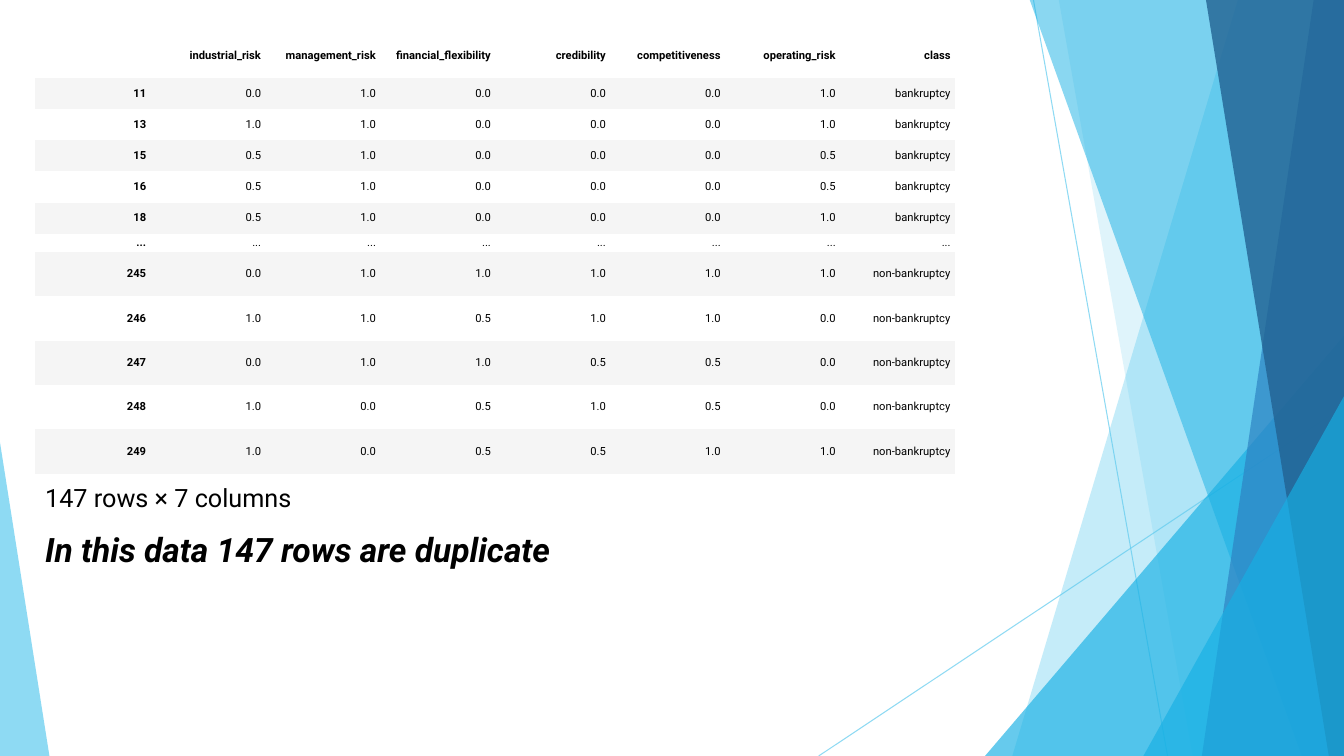
from lxml import etree
from pptx import Presentation
from pptx.dml.color import RGBColor
from pptx.enum.shapes import MSO_CONNECTOR, MSO_SHAPE
from pptx.enum.text import MSO_ANCHOR, PP_ALIGN
from pptx.oxml.ns import qn
from pptx.util import Inches, Pt

STRAIGHT = MSO_CONNECTOR.STRAIGHT
TRIANGLE = MSO_SHAPE.ISOSCELES_TRIANGLE
MIDDLE = MSO_ANCHOR.MIDDLE
RIGHT = PP_ALIGN.RIGHT
LEFT = PP_ALIGN.LEFT

FONT = "Roboto"
SKY = "5FCBEF"
CYAN = "17B0E4"
BLUE = "2E83C3"
NAVY = "226292"
NO_GRID_STYLE = "{2D5ABB26-0587-4C30-8999-92F81FD0307C}"

SLIDE_WIDTH, SLIDE_HEIGHT = 13.33, 7.5
BAND_TOP = -0.01
COLUMN_WIDTH = 1.14
ROW_HEIGHTS = [0.44] + [0.31] * 5 + [0.18] + [0.44] * 5

HEADERS = ["", "industrial_risk", "management_risk", "financial_flexibility",
           "credibility", "competitiveness", "operating_risk", "class"]
BANKRUPT = [
    ("11", "0.0", "1.0", "0.0", "0.0", "0.0", "1.0"),
    ("13", "1.0", "1.0", "0.0", "0.0", "0.0", "1.0"),
    ("15", "0.5", "1.0", "0.0", "0.0", "0.0", "0.5"),
    ("16", "0.5", "1.0", "0.0", "0.0", "0.0", "0.5"),
    ("18", "0.5", "1.0", "0.0", "0.0", "0.0", "1.0"),
]
SOLVENT = [
    ("245", "0.0", "1.0", "1.0", "1.0", "1.0", "1.0"),
    ("246", "1.0", "1.0", "0.5", "1.0", "1.0", "0.0"),
    ("247", "0.0", "1.0", "1.0", "0.5", "0.5", "0.0"),
    ("248", "1.0", "0.0", "0.5", "1.0", "0.5", "0.0"),
    ("249", "1.0", "0.0", "0.5", "0.5", "1.0", "1.0"),
]
ROWS = [
    HEADERS,
    *[(*row, "bankruptcy") for row in BANKRUPT],
    ["..."] * len(HEADERS),
    *[(*row, "non-bankruptcy") for row in SOLVENT],
]


def set_color(color_format, hex_color, opacity=100):
    color_format.rgb = RGBColor.from_string(hex_color)
    if opacity < 100:
        for color in color_format._xFill.iter(qn("a:srgbClr")):
            etree.SubElement(color, qn("a:alpha"), val=str(opacity * 1000))


def set_fill(fill, hex_color, opacity=100):
    fill.solid()
    set_color(fill.fore_color, hex_color, opacity)


def style_band(shape, hex_color, opacity):
    shape.shadow.inherit = False
    set_fill(shape.fill, hex_color, opacity)
    shape.line.fill.background()


def add_line(slide, start, end):
    line = slide.shapes.add_connector(
        STRAIGHT, *[Inches(value) for value in (*start, *end)])
    line.line.width = Pt(0.75)
    set_fill(line.line.fill, SKY, 70)
    properties = line.element.find(qn("p:spPr"))
    etree.SubElement(properties, qn("a:effectLst"))


def add_band(slide, top_x, bottom_x, hex_color, opacity):
    points = [(top_x, BAND_TOP), (SLIDE_WIDTH, BAND_TOP),
              (SLIDE_WIDTH, SLIDE_HEIGHT), (bottom_x, SLIDE_HEIGHT)]
    corners = [(Inches(x), Inches(y)) for x, y in points]
    builder = slide.shapes.build_freeform(*corners[0])
    builder.add_line_segments(corners[1:], close=True)
    style_band(builder.convert_to_shape(), hex_color, opacity)


def add_triangle(slide, left, top, width, apex, hex_color, opacity):
    shape = slide.shapes.add_shape(
        TRIANGLE, Inches(left), Inches(top),
        Inches(width), Inches(SLIDE_HEIGHT - top))
    shape.adjustments[0] = apex
    style_band(shape, hex_color, opacity)


def style_paragraph(paragraph, size, bold=False, italic=False, align=LEFT):
    paragraph.alignment = align
    font = paragraph.font
    font.name, font.size = FONT, Pt(size)
    font.bold, font.italic = bold, italic
    set_fill(font.fill, "000000")


def add_text(slide, text, top, height, size, emphasis=False):
    box = slide.shapes.add_textbox(
        Inches(0.35), Inches(top), Inches(6.67), Inches(height))
    frame = box.text_frame
    frame.word_wrap = True
    frame.text = text
    style_paragraph(frame.paragraphs[0], size, emphasis, emphasis)


def fill_cell(cell, text, bold, hex_color):
    cell.text = text
    cell.vertical_anchor = MIDDLE
    cell.margin_left = cell.margin_right = Inches(0.04)
    cell.margin_top = cell.margin_bottom = Inches(0.02)
    set_fill(cell.fill, hex_color)
    style_paragraph(cell.text_frame.paragraphs[0], 8, bold, align=RIGHT)


def add_data_table(slide):
    graphic_frame = slide.shapes.add_table(
        len(ROWS), len(HEADERS), Inches(0.35), Inches(0.33),
        Inches(COLUMN_WIDTH * len(HEADERS)), Inches(sum(ROW_HEIGHTS)))
    for style in graphic_frame.element.iter(qn("a:tableStyleId")):
        style.text = NO_GRID_STYLE
    table = graphic_frame.table
    table.horz_banding = False
    for column in table.columns:
        column.width = Inches(COLUMN_WIDTH)
    for row_index, values in enumerate(ROWS):
        table.rows[row_index].height = Inches(ROW_HEIGHTS[row_index])
        stripe = "F5F5F5" if row_index % 2 else "FFFFFF"
        for column_index, text in enumerate(values):
            bold = row_index == 0 or column_index == 0
            fill_cell(table.cell(row_index, column_index), text, bold, stripe)


def add_decoration(slide):
    add_line(slide, (10.25, 0), (11.58, SLIDE_HEIGHT))
    add_line(slide, (SLIDE_WIDTH, 4.03), (8.12, SLIDE_HEIGHT))
    add_band(slide, 12.28, 10.04, SKY, 36)
    add_band(slide, 10.5, 11.83, SKY, 20)
    add_triangle(slide, 9.77, 3.33, 3.56, 1, CYAN, 66)
    add_band(slide, 10.21, 12.91, CYAN, 50)
    add_band(slide, 13.03, 11.92, BLUE, 70)
    add_band(slide, 11.96, 13.18, NAVY, 80)
    add_triangle(slide, 11.34, 3.93, 1.99, 1, CYAN, 66)
    add_triangle(slide, 0, 4.39, 0.49, 0, SKY, 70)


def main():
    presentation = Presentation()
    presentation.slide_width = Inches(SLIDE_WIDTH)
    presentation.slide_height = Inches(SLIDE_HEIGHT)
    slide = presentation.slides.add_slide(presentation.slide_layouts[6])
    add_decoration(slide)
    add_data_table(slide)
    add_text(slide, "147 rows × 7 columns", 4.74, 0.4, 18)
    add_text(slide, "In this data 147 rows are duplicate", 5.2, 0.5, 24, True)
    presentation.save("out.pptx")


if __name__ == "__main__":
    main()
